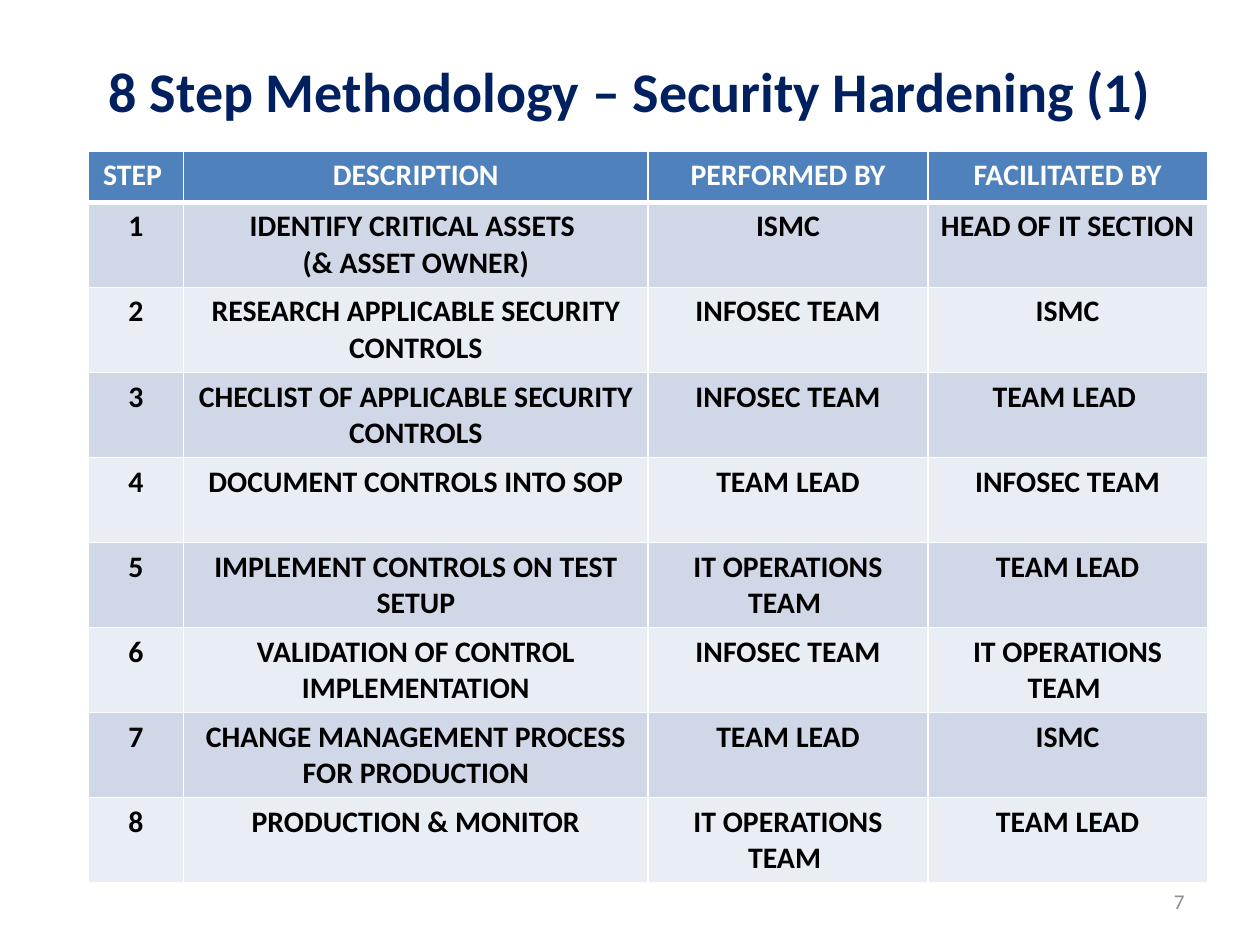
import pptx
import pptx.dml.color
import pptx.enum.text
import pptx.oxml
import pptx.oxml.ns
import pptx.util

Pt = pptx.util.Pt
ALIGN = pptx.enum.text.PP_ALIGN
MIDDLE = pptx.enum.text.MSO_ANCHOR.MIDDLE

HEADER = ["STEP ", "DESCRIPTION", "PERFORMED BY", "FACILITATED BY"]
STEPS = [
    ("IDENTIFY CRITICAL ASSETS \n(& ASSET OWNER)", "ISMC", "HEAD OF IT SECTION"),
    ("RESEARCH APPLICABLE SECURITY CONTROLS", "INFOSEC TEAM", "ISMC"),
    ("CHECLIST OF APPLICABLE SECURITY CONTROLS", "INFOSEC TEAM", "TEAM LEAD "),
    ("DOCUMENT CONTROLS INTO SOP", "TEAM LEAD", "INFOSEC TEAM"),
    ("IMPLEMENT CONTROLS ON TEST SETUP", "IT OPERATIONS TEAM ", "TEAM LEAD"),
    ("VALIDATION OF CONTROL IMPLEMENTATION", "INFOSEC TEAM", "IT OPERATIONS TEAM "),
    ("CHANGE MANAGEMENT PROCESS FOR PRODUCTION", "TEAM LEAD", "ISMC"),
    ("PRODUCTION & MONITOR", "IT OPERATIONS TEAM ", "TEAM LEAD"),
]


def color(value):
    return pptx.dml.color.RGBColor.from_string(value)


class SlideBuilder:
    font_name = "Calibri"
    title_color = "002060"
    header_fill = "4F81BD"
    band_fills = ("D0D8E8", "E9EDF4")
    line_color = "FFFFFF"

    def __init__(self, slide):
        self.slide = slide

    def set_text(self, text_frame, text, size, font_color, align, bold=False):
        text_frame.text = text
        text_frame.word_wrap = True
        for paragraph in text_frame.paragraphs:
            paragraph.alignment = align
            font = paragraph.font
            font.name, font.size, font.bold = self.font_name, Pt(size), bold
            font.color.rgb = color(font_color)

    def title(self, text, left, top, width, height):
        shape = self.slide.shapes.title
        shape.left, shape.top = Pt(left), Pt(top)
        shape.width, shape.height = Pt(width), Pt(height)
        shape.text_frame.vertical_anchor = MIDDLE
        self.set_text(shape.text_frame, text, 32, self.title_color, ALIGN.CENTER, True)

    def page_number(self, text, left, top, width, height):
        shape = self.slide.shapes.add_textbox(Pt(left), Pt(top), Pt(width), Pt(height))
        shape.text_frame.vertical_anchor = MIDDLE
        self.set_text(shape.text_frame, text, 12, "8C8C8C", ALIGN.RIGHT)

    def borders(self, cell, **widths):
        properties = cell._tc.get_or_add_tcPr()
        # Border lines must come before the cell's fill
        for index, side in enumerate("LRTB"):
            properties.insert(index, pptx.oxml.parse_xml(
                f'<a:ln{side} {pptx.oxml.ns.nsdecls("a")} w="{Pt(widths.get(side, 1))}">'
                f'<a:solidFill><a:srgbClr val="{self.line_color}"/></a:solidFill>'
                f'</a:ln{side}>'))

    def table(self, rows, left, top, column_widths, row_heights):
        table = self.slide.shapes.add_table(
            len(rows), len(column_widths), Pt(left), Pt(top),
            Pt(sum(column_widths)), Pt(sum(row_heights))).table
        for column, width in zip(table.columns, column_widths):
            column.width = Pt(width)
        for row, height in zip(table.rows, row_heights):
            row.height = Pt(height)
        for row_index, texts in enumerate(rows):
            is_header = row_index == 0
            fill = self.header_fill if is_header else self.band_fills[(row_index - 1) % 2]
            for column_index, text in enumerate(texts):
                cell = table.cell(row_index, column_index)
                cell.fill.solid()
                cell.fill.fore_color.rgb = color(fill)
                self.set_text(cell.text_frame, text, 17,
                              "FFFFFF" if is_header else "000000", ALIGN.CENTER, True)
                self.borders(cell, T=3 if row_index == 1 else 1, B=3 if is_header else 1)


def main():
    presentation = pptx.Presentation()
    presentation.slide_width, presentation.slide_height = Pt(720), Pt(540)
    title_only = presentation.slide_layouts[5]
    builder = SlideBuilder(presentation.slides.add_slide(title_only))

    # Page number and title
    builder.page_number("7", 516, 500.5, 168, 28.75)
    builder.title("8 Step Methodology – Security Hardening (1)", 36, 16.5, 648, 70.5)

    # Table of numbered steps
    rows = [HEADER] + [(str(number), *step) for number, step in enumerate(STEPS, 1)]
    builder.table(rows, 50.4, 86.4, [54.5, 265.5, 159.8, 159.8],
                  [29.2] + [48.6] * len(STEPS))

    presentation.save("out.pptx")


if __name__ == "__main__":
    main()
